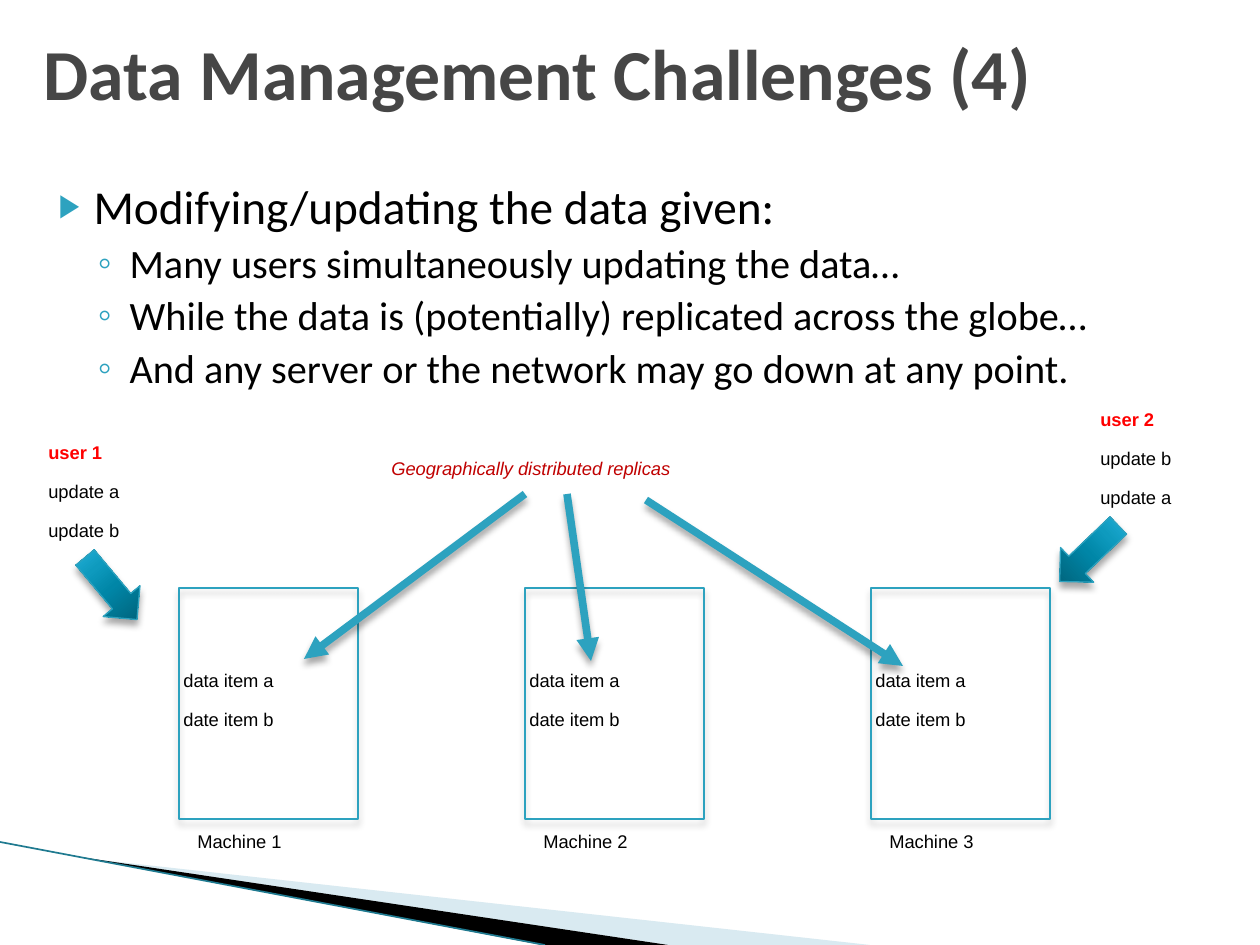
from typing import NamedTuple

from lxml import etree
from pptx import Presentation
from pptx import util as u
from pptx.dml.color import RGBColor
from pptx.enum import shapes, text
from pptx.oxml import ns

PX = 914400 / 126  # EMU in one px
TEAL, BLACK, RED = "2DA2BF", "000000", "FF0000"
STOPS = [(0, "005367"), (50, "0086A7"), (70, "0E9ABE"), (100, "2CB9E3")]


class Note(NamedTuple):
    x: int
    y: int
    w: int
    h: int
    lines: list[str]
    color: str = BLACK
    bold: bool = False
    italic: bool = False


class Arrow(NamedTuple):
    x1: int
    y1: int
    x2: int
    y2: int


class Block(NamedTuple):
    x: int
    y: int
    turn: float


class Item(NamedTuple):
    words: str
    level: int = 1


def px(n: float) -> int:
    return round(n * PX)


def rgb(code: str) -> RGBColor:
    return RGBColor.from_string(code)


def sub(node, tag: str, **attrs):
    return etree.SubElement(node, ns.qn(tag), {k: str(v) for k, v in attrs.items()})


def place(shape, x: int, y: int, w: int, h: int) -> None:
    shape.left, shape.top, shape.width, shape.height = map(px, (x, y, w, h))


def style(font, name: str, size: float, color: str, bold: bool = False) -> None:
    font.name, font.size, font.bold = name, u.Pt(size), bold
    font.color.rgb = rgb(color)


def outline(shape, color: str, width: float) -> None:
    shape.line.color.rgb = rgb(color)
    shape.line.width = u.Pt(width)


def shade(shape, soft: bool = True) -> None:
    """Give a soft shadow below, or none."""
    effects = sub(shape._element.spPr, "a:effectLst")
    if soft:
        shadow = sub(effects, "a:outerShdw", blurRad=u.Pt(4), dist=u.Pt(3),
                     dir=5400000, rotWithShape=0)
        sub(sub(shadow, "a:srgbClr", val=BLACK), "a:alpha", val=35000)


def draw_wedge(slide, points: list[tuple[int, int]], color: str, alpha: int = 100) -> None:
    pen = slide.shapes.build_freeform(*points[0], scale=PX)
    pen.add_line_segments(points[1:])
    wedge = pen.convert_to_shape()
    wedge.fill.solid()
    wedge.fill.fore_color.rgb = rgb(color)
    if alpha < 100:
        tint = wedge._element.spPr.find(".//" + ns.qn("a:srgbClr"))
        sub(tint, "a:alpha", val=alpha * 1000)
    wedge.line.fill.background()
    shade(wedge, False)


def draw_line(slide, line: Arrow, color: str, width: float, head: bool = True) -> None:
    link = slide.shapes.add_connector(shapes.MSO_CONNECTOR.STRAIGHT, *map(px, line))
    outline(link, color, width)
    if head:
        sub(link.line._get_or_add_ln(), "a:tailEnd", type="triangle")
    shade(link, head)


def draw_note(slide, note: Note) -> None:
    box = slide.shapes.add_textbox(*map(px, note[:4]))
    frame = box.text_frame
    frame.word_wrap = False
    frame.margin_top = px(10)
    frame.text = "\n".join(note.lines)
    for i, para in enumerate(frame.paragraphs):
        first = i == 0
        if not first:
            para.space_before = u.Pt(9.7)
        font = para.runs[0].font
        style(font, "Arial", 10.5, note.color if first else BLACK, note.bold and first)
        font.italic = note.italic


def draw_machine(slide, x: int, name: str) -> None:
    box = slide.shapes.add_shape(shapes.MSO_SHAPE.RECTANGLE, *map(px, (x, 588, 179, 231)))
    box.fill.background()
    outline(box, TEAL, 0.75)
    shade(box)
    draw_note(slide, Note(x + 6, 820, 173, 50, [name]))
    draw_note(slide, Note(x - 8, 659, 183, 89, ["data item a", "date item b"]))


def draw_block(slide, block: Block) -> None:
    arrow = slide.shapes.add_shape(shapes.MSO_SHAPE.DOWN_ARROW,
                                   *map(px, (block.x, block.y, 48, 81)))
    arrow.rotation = block.turn
    arrow.fill.gradient()
    arrow.fill.gradient_angle = 90
    stops = arrow._element.spPr.find(".//" + ns.qn("a:gsLst"))
    for old in list(stops):
        stops.remove(old)
    for spot, color in STOPS:
        sub(sub(stops, "a:gs", pos=spot * 1000), "a:srgbClr", val=color)
    outline(arrow, TEAL, 0.75)
    shade(arrow)


def fill_title(title, words: str) -> None:
    place(title, 31, 21, 1166, 101)
    frame = title.text_frame
    frame.text = words
    frame.auto_size = text.MSO_AUTO_SIZE.NONE
    frame.vertical_anchor = text.MSO_ANCHOR.MIDDLE
    para = frame.paragraphs[0]
    para.alignment = text.PP_ALIGN.LEFT
    style(para.runs[0].font, "Calibri", 41, "464646", True)


def fill_body(body, items: list[Item]) -> None:
    place(body, 31, 168, 1166, 703)
    frame = body.text_frame
    frame.text = "\n".join(item.words for item in items)
    frame.auto_size = text.MSO_AUTO_SIZE.NONE
    frame.margin_top = px(9)
    for para, item in zip(frame.paragraphs, items):
        para.level = item.level
        top = item.level == 0
        para.space_before = u.Pt(0 if top else 2.5)
        props = para._p.get_or_add_pPr()
        props.set("marL", str(px(50 if top else 86)))
        props.set("indent", str(px(-35 if top else -32)))
        sub(sub(props, "a:buClr"), "a:srgbClr", val=TEAL)
        sub(props, "a:buSzPct", val=68000 if top else 100000)
        sub(props, "a:buFont", typeface="Arial")
        sub(props, "a:buChar", char="▶" if top else "◦")
        style(para.runs[0].font, "Calibri", 27 if top else 23, BLACK)


def main() -> None:
    deck = Presentation()
    deck.slide_width, deck.slide_height = u.Inches(10), u.Inches(7.5)
    slide = deck.slides.add_slide(deck.slide_layouts[1])

    # Corner decoration
    draw_wedge(slide, [(82, 858), (870, 945), (668, 945)], "A0CBDC", 40)
    draw_wedge(slide, [(80, 857), (668, 945), (542, 945)], BLACK)
    draw_line(slide, Arrow(0, 842, 545, 945), "1F7A90", 0.95, False)

    # Title and list
    fill_title(slide.shapes.title, "Data Management Challenges (4)")
    fill_body(slide.placeholders[1], [
        Item("Modifying/updating the data given:", 0),
        Item("Many users simultaneously updating the data…"),
        Item("While the data is (potentially) replicated across the globe…"),
        Item("And any server or the network may go down at any point."),
    ])

    # Machines
    for i in range(3):
        draw_machine(slide, 179 + i * 346, f"Machine {i + 1}")

    # Users and their updates
    draw_note(slide, Note(36, 431, 149, 127, ["user 1", "update a", "update b"], RED, True))
    draw_note(slide, Note(1088, 398, 149, 127, ["user 2", "update b", "update a"], RED, True))
    for block in (Block(87, 548, 320.1), Block(1065, 513, 46.3)):
        draw_block(slide, block)

    # Replicas
    draw_note(slide, Note(379, 447, 512, 50, ["Geographically distributed replicas"],
                          "C00000", italic=True))
    for arrow in (Arrow(525, 494, 304, 659), Arrow(646, 500, 903, 666),
                  Arrow(567, 494, 591, 661)):
        draw_line(slide, arrow, TEAL, 4.33)

    deck.save("out.pptx")


if __name__ == "__main__":
    main()
